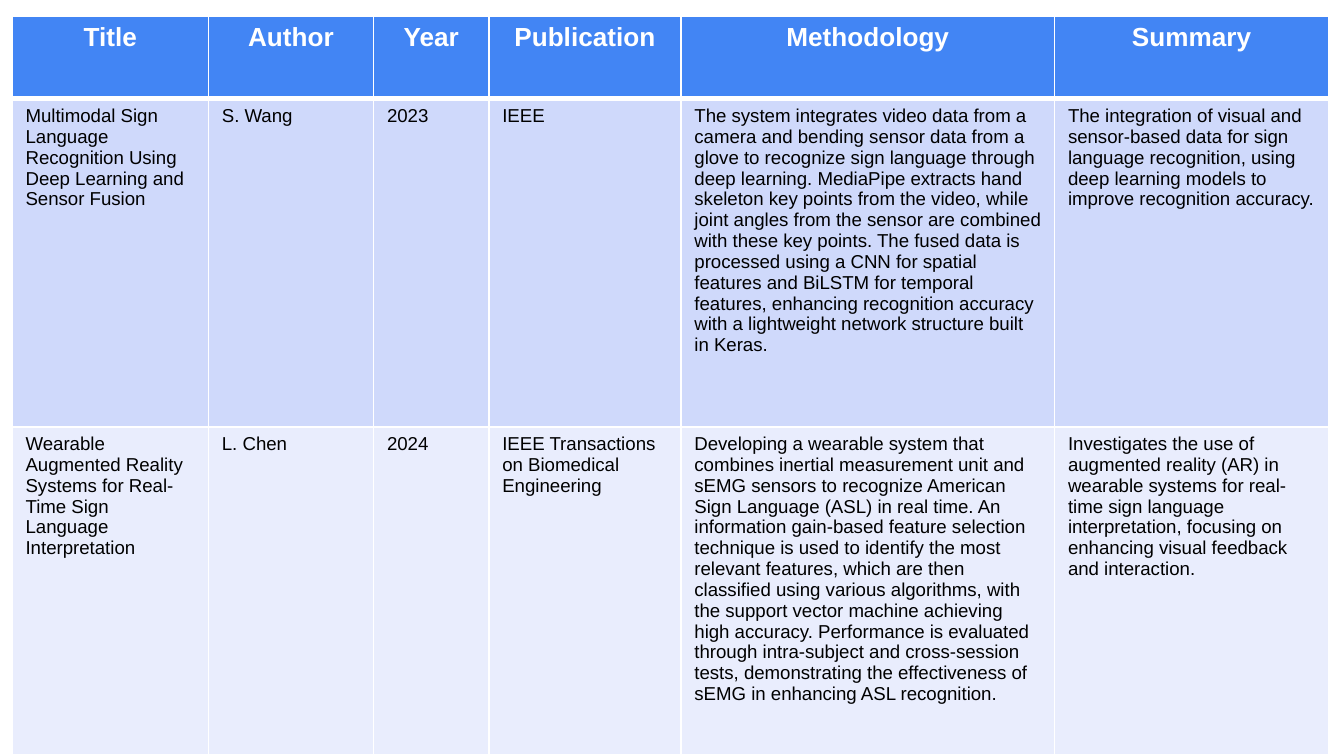
from lxml import etree
from pptx import Presentation
from pptx.dml.color import RGBColor
from pptx.enum.text import PP_ALIGN
from pptx.oxml.ns import qn
from pptx.util import Cm, Pt

LEFT, CENTER = PP_ALIGN.LEFT, PP_ALIGN.CENTER
COLORS = {
    "header": "4285F4",
    "odd": "CFD9FB",
    "even": "E9EDFD",
    "white": "FFFFFF",
    "black": "000000",
}
FONT = "Arial"
COLUMN_WIDTHS = [3.71, 3.12, 2.18, 3.63, 7.06, 5.18]
ROW_HEIGHTS = [1.57, 6.2, 6.2]
ROWS = [
    ["Title", "Author", "Year", "Publication", "Methodology", "Summary"],
    [
        "Multimodal Sign Language Recognition Using Deep Learning and Sensor Fusion",
        "S. Wang",
        "2023",
        "IEEE",
        "The system integrates video data from a camera and bending sensor data from "
        "a glove to recognize sign language through deep learning. MediaPipe extracts "
        "hand skeleton key points from the video, while joint angles from the sensor "
        "are combined with these key points. The fused data is processed using a CNN "
        "for spatial features and BiLSTM for temporal features, enhancing recognition "
        "accuracy with a lightweight network structure built in Keras.",
        "The integration of visual and sensor-based data for sign language "
        "recognition, using deep learning models to improve recognition accuracy.",
    ],
    [
        "Wearable Augmented Reality Systems for Real-Time Sign Language Interpretation",
        "L. Chen",
        "2024",
        "IEEE Transactions on Biomedical Engineering",
        "Developing a wearable system that combines inertial measurement unit and sEMG "
        "sensors to recognize American Sign Language (ASL) in real time. An information "
        "gain-based feature selection technique is used to identify the most relevant "
        "features, which are then classified using various algorithms, with the support "
        "vector machine achieving high accuracy. Performance is evaluated through "
        "intra-subject and cross-session tests, demonstrating the effectiveness of sEMG "
        "in enhancing ASL recognition.",
        "Investigates the use of augmented reality (AR) in wearable systems for "
        "real-time sign language interpretation, focusing on enhancing visual feedback "
        "and interaction.",
    ],
]


def write_text(text_frame, text, size=10, color="black", bold=False, align=LEFT):
    paragraph = text_frame.paragraphs[0]
    paragraph.alignment = align
    run = paragraph.add_run()
    run.text = text
    run.font.name = FONT
    run.font.size = Pt(size)
    run.font.bold = bold
    run.font.color.rgb = RGBColor.from_string(COLORS[color])


class SlideBuilder:
    """Holds the table style and the current slide."""

    header_format = {"size": 14, "color": "white", "bold": True, "align": CENTER}
    row_fills = ["header", "odd", "even"]
    line_width = 1
    header_line_width = 3

    def __init__(self, slide):
        self.slide = slide

    def set_borders(self, cell, top, bottom):
        properties = cell._tc.get_or_add_tcPr()
        widths = {"L": self.line_width, "R": self.line_width, "T": top, "B": bottom}
        for side, width in widths.items():
            line = etree.SubElement(properties, qn(f"a:ln{side}"), w=str(Pt(width)))
            fill = etree.SubElement(line, qn("a:solidFill"))
            etree.SubElement(fill, qn("a:srgbClr"), val=COLORS["white"])

    def add_cell(self, cell, text, row_index):
        top = self.header_line_width if row_index == 1 else self.line_width
        bottom = self.header_line_width if row_index == 0 else self.line_width
        self.set_borders(cell, top, bottom)
        cell.fill.solid()
        fill_color = COLORS[self.row_fills[row_index]]
        cell.fill.fore_color.rgb = RGBColor.from_string(fill_color)
        text_format = self.header_format if row_index == 0 else {}
        write_text(cell.text_frame, text, **text_format)

    def add_table(self, rows, left, top, column_widths, row_heights):
        table = self.slide.shapes.add_table(
            len(rows), len(column_widths), Cm(left), Cm(top),
            Cm(sum(column_widths)), Cm(sum(row_heights)),
        ).table
        table.horz_banding = False
        for column, width in zip(table.columns, column_widths):
            column.width = Cm(width)
        for row, height in zip(table.rows, row_heights):
            row.height = Cm(height)
        for row_index, texts in enumerate(rows):
            for column_index, text in enumerate(texts):
                self.add_cell(table.cell(row_index, column_index), text, row_index)


def main():
    presentation = Presentation()
    presentation.slide_width = Cm(25.4)
    presentation.slide_height = Cm(14.29)
    slide = presentation.slides.add_slide(presentation.slide_layouts[6])
    builder = SlideBuilder(slide)
    builder.add_table(ROWS, 0.23, 0.3, COLUMN_WIDTHS, ROW_HEIGHTS)
    presentation.save("out.pptx")


if __name__ == "__main__":
    main()
